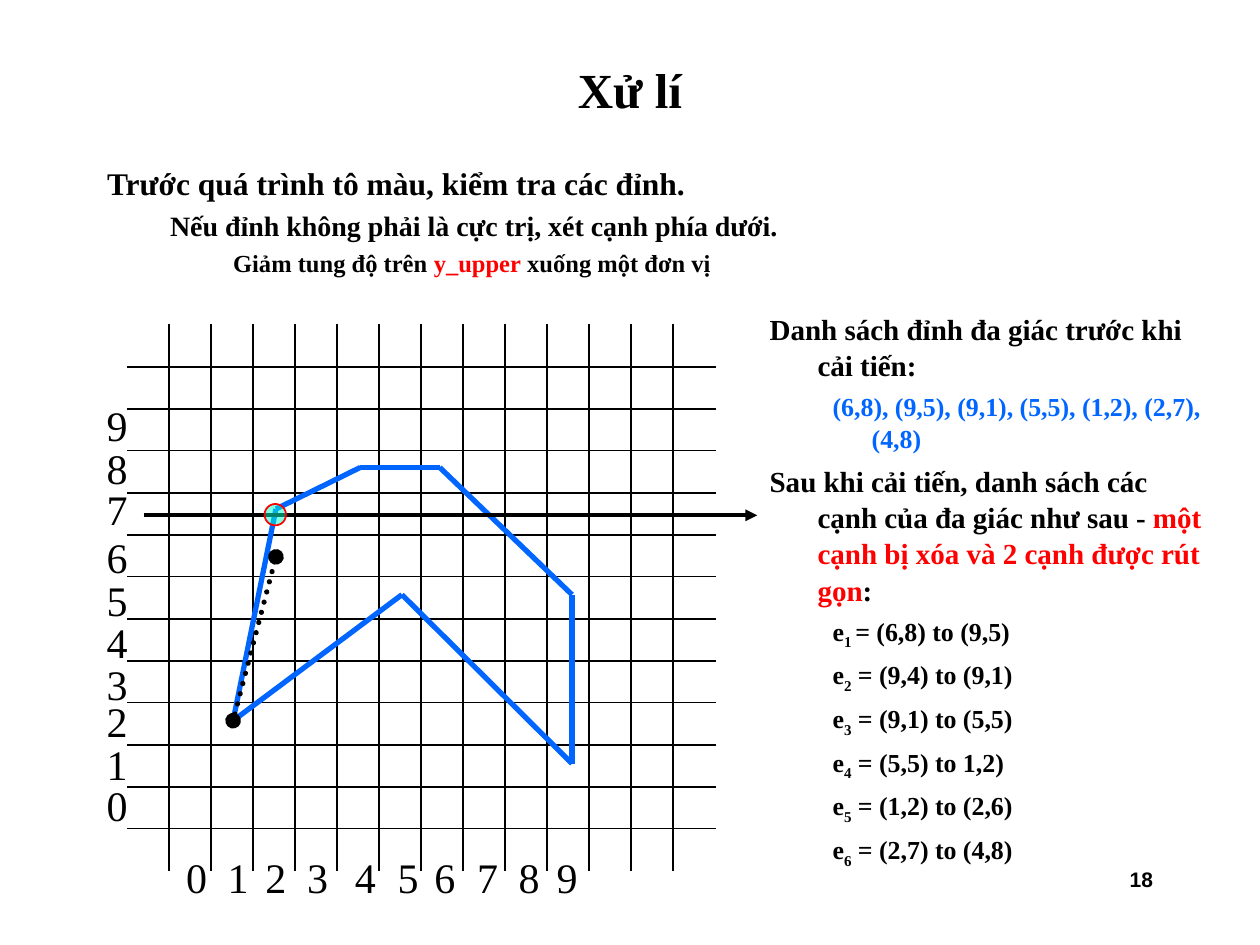
from dataclasses import dataclass
from itertools import pairwise

from lxml import etree
from pptx import Presentation
from pptx.dml.color import RGBColor
from pptx.enum.dml import MSO_LINE
from pptx.enum.shapes import MSO_CONNECTOR, MSO_SHAPE
from pptx.enum.text import MSO_ANCHOR, MSO_AUTO_SIZE, PP_ALIGN
from pptx.oxml.ns import qn
from pptx.util import Inches, Pt

STRAIGHT = MSO_CONNECTOR.STRAIGHT
OVAL = MSO_SHAPE.OVAL
DOTTED = MSO_LINE.ROUND_DOT
LEFT, CENTER, RIGHT = PP_ALIGN.LEFT, PP_ALIGN.CENTER, PP_ALIGN.RIGHT
TOP, MIDDLE = MSO_ANCHOR.TOP, MSO_ANCHOR.MIDDLE
FIXED = MSO_AUTO_SIZE.NONE


@dataclass(frozen=True)
class Theme:
    font: str = "Times New Roman"
    number_font: str = "Arial"
    ink: str = "000000"
    blue: str = "0066FF"
    red: str = "FF0000"
    mint: str = "00FFCC"
    title: float = 28
    body: tuple = (18, 16, 14)
    side: tuple = (16.6, 14.8)
    axis: float = 24
    page_number: float = 12
    # Left margin, hanging indent (inches) and space before (points) by level
    levels: tuple = ((0.38, -0.38, 4.5), (0.81, -0.31, 4), (1.25, -0.25, 3.5))


def write(para, text, *, size, color, font, bold=False, subscript=False):
    """Add one formatted span of text to a paragraph."""
    span = para.add_run()
    span.text = text
    span.font.name = font
    span.font.size = Pt(size)
    span.font.bold = bold
    span.font.color.rgb = RGBColor.from_string(color)
    if subscript:
        span._r.get_or_add_rPr().set("baseline", "-25000")


class Page:
    def __init__(self, deck, theme):
        self.theme = theme
        self.slide = deck.slides.add_slide(deck.slide_layouts[1])
        self.shapes = self.slide.shapes

    def place(self, box, bounds, anchor=TOP):
        box.left, box.top, box.width, box.height = map(Inches, bounds)
        frame = box.text_frame
        frame.word_wrap = True
        frame.auto_size = FIXED
        frame.vertical_anchor = anchor
        return frame

    def title(self, text, bounds):
        para = self.place(self.shapes.title, bounds, MIDDLE).paragraphs[0]
        para.alignment = CENTER
        write(para, text, size=self.theme.title, color=self.theme.ink,
              font=self.theme.font, bold=True)

    def label(self, text, bounds, align=CENTER, **style):
        box = self.shapes.add_textbox(0, 0, 0, 0)
        para = self.place(box, bounds).paragraphs[0]
        para.alignment = align
        write(para, text, **style)

    def outline(self, box, bounds, items, sizes, spacing=1.0):
        """Fill a box with (level, spans); a span is (text, format changes)."""
        frame = self.place(box, bounds)
        for index, (level, spans) in enumerate(items):
            para = frame.add_paragraph() if index else frame.paragraphs[0]
            margin, indent, before = self.theme.levels[level]
            para.level = level
            props = para._p.get_or_add_pPr()
            props.set("marL", str(Inches(margin)))
            props.set("indent", str(Inches(indent)))
            etree.SubElement(props, qn("a:buNone"))
            para.alignment = LEFT
            para.line_spacing = spacing
            para.space_before = Pt(before if index else 0)
            for text, changes in spans:
                style = dict(size=sizes[level], color=self.theme.ink,
                             font=self.theme.font, bold=True)
                write(para, text, **(style | changes))

    def line(self, start, end, color, width, dash=None, head=None, tail=None):
        line = self.shapes.add_connector(STRAIGHT, *map(Inches, start + end))
        line.line.color.rgb = RGBColor.from_string(color)
        line.line.width = Pt(width)
        stroke = line.line._get_or_add_ln()
        if dash:
            line.line.dash_style = dash
            stroke.set("cap", "rnd")
        for tag, kind in (("a:headEnd", head), ("a:tailEnd", tail)):
            if kind:
                etree.SubElement(stroke, qn(tag), type=kind)
        etree.SubElement(line._element.spPr, qn("a:effectLst"))

    def marker(self, bounds, fill, edge, opacity):
        dot = self.shapes.add_shape(OVAL, *map(Inches, bounds))
        dot.shadow.inherit = False
        dot.fill.solid()
        dot.fill.fore_color.rgb = RGBColor.from_string(fill)
        dot.line.color.rgb = RGBColor.from_string(edge)
        dot.line.width = Pt(1)
        color = dot._element.spPr.find(qn("a:solidFill"))[0]
        etree.SubElement(color, qn("a:alpha"), val=str(opacity * 1000))


def main():
    theme = Theme()
    deck = Presentation()
    deck.slide_width, deck.slide_height = Inches(10), Inches(7.5)
    page = Page(deck, theme)
    red = {"color": theme.red}

    # Title and main rule
    page.title("Xử lí", (0.75, 0.33, 8.5, 0.75))
    page.outline(page.slide.placeholders[1], (0.75, 1.25, 8.5, 1.92), [
        (0, [("Trước quá trình tô màu, kiểm tra các đỉnh.", {})]),
        (1, [("Nếu đỉnh không phải là cực trị, xét cạnh phía dưới.", {})]),
        (2, [("Giảm tung độ trên ", {}), ("y_upper", red),
             (" xuống một đơn vị", {})]),
    ], theme.body)

    # Grid
    cell = 1 / 3
    for row in range(12):
        y = 2.91 + row * cell
        page.line((1.01, y), (5.68, y), theme.ink, 1)
    for column in range(13):
        x = 1.34 + column * cell
        page.line((x, 2.57), (x, 6.91), theme.ink, 1)

    # Axis numbers
    axis = dict(size=theme.axis, color=theme.ink, font=theme.font)
    column_lefts = (1.35, 1.68, 1.98, 2.31, 2.69, 3.03, 3.32, 3.66, 3.99, 4.29)
    row_tops = (6.14, 5.81, 5.47, 5.18, 4.84, 4.51, 4.17, 3.79, 3.46, 3.12)
    for number, (left, top) in enumerate(zip(column_lefts, row_tops)):
        page.label(str(number), (left, 6.71, 0.42, 0.5), **axis)
        page.label(str(number), (0.72, top, 0.42, 0.5), **axis)

    # Polygon, shortened edge, scan line and checked vertex
    corners = [(3.49, 3.71), (4.54, 4.72), (4.54, 6.06), (3.19, 4.72),
               (1.85, 5.72), (2.19, 4.04), (2.86, 3.71)]
    for start, end in pairwise(corners + corners[:1]):
        page.line(start, end, theme.blue, 3)
    page.line((1.85, 5.72), (2.19, 4.42), theme.ink, 3,
              dash=DOTTED, head="oval", tail="oval")
    page.line((1.14, 4.09), (6.01, 4.09), theme.ink, 2.25, tail="triangle")
    page.marker((2.1, 4, 0.17, 0.17), theme.mint, theme.red, opacity=50)

    # Vertex list and resulting edges
    edges = [("1 ", "= (6,8) to (9,5)"), ("2", " = (9,4) to (9,1)"),
             ("3", " = (9,1) to (5,5)"), ("4", " = (5,5) to 1,2)"),
             ("5", " = (1,2) to (2,6)"), ("6", " = (2,7) to (4,8)")]
    items = [
        (0, [("Danh sách đỉnh đa giác trước khi cải tiến:", {})]),
        (1, [("(6,8), (9,5), (9,1), (5,5), (1,2), (2,7), (4,8)",
              {"color": theme.blue})]),
        (0, [("Sau khi cải tiến, danh sách các cạnh của đa giác như sau - ", {}),
             ("một cạnh bị xóa và 2 cạnh được rút gọn", red), (":", {})]),
    ]
    items += [(1, [("e", {}), (index, {"subscript": True}), (ends, {})])
              for index, ends in edges]
    side_box = page.shapes.add_textbox(0, 0, 0, 0)
    page.outline(side_box, (6.01, 2.41, 3.65, 4.41), items, theme.side,
                 spacing=1.04)

    # Page number
    page.label("18", (7.17, 6.83, 2.08, 0.5), RIGHT, size=theme.page_number,
               color=theme.ink, font=theme.number_font, bold=True)

    deck.save("out.pptx")


if __name__ == "__main__":
    main()
